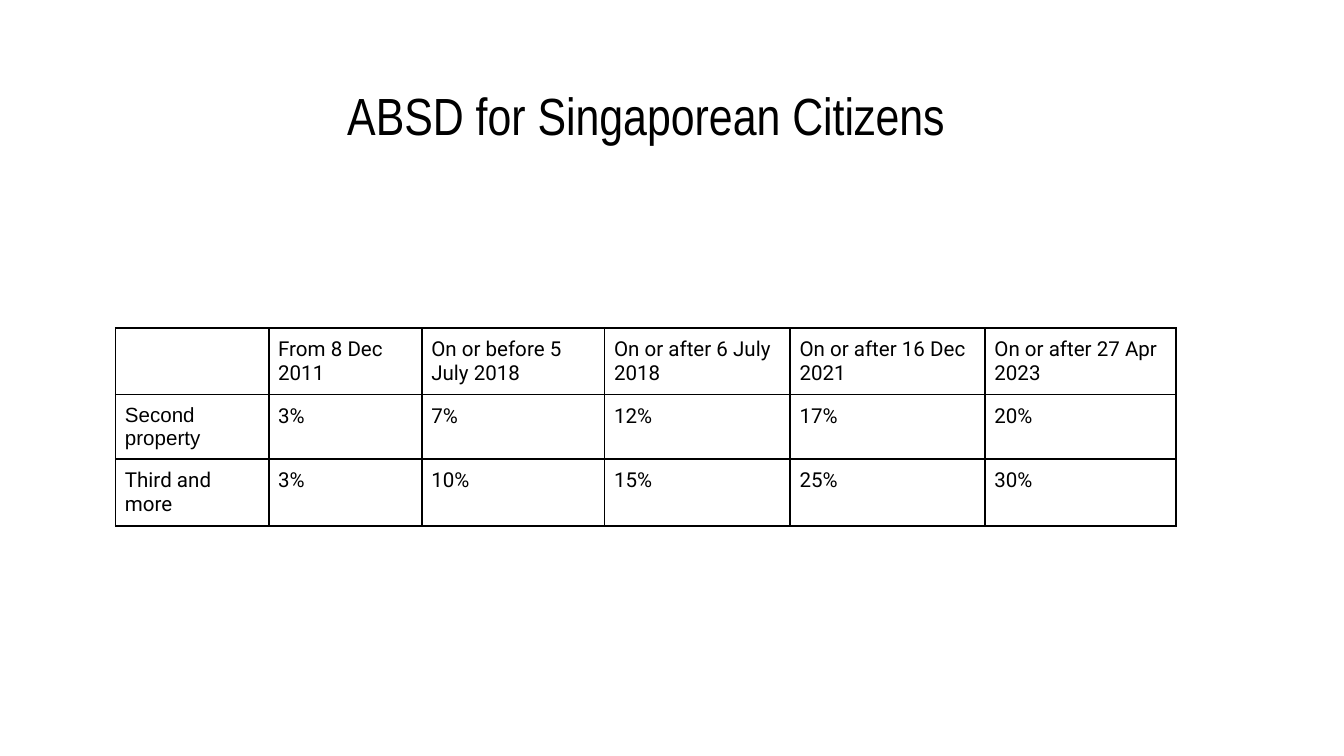
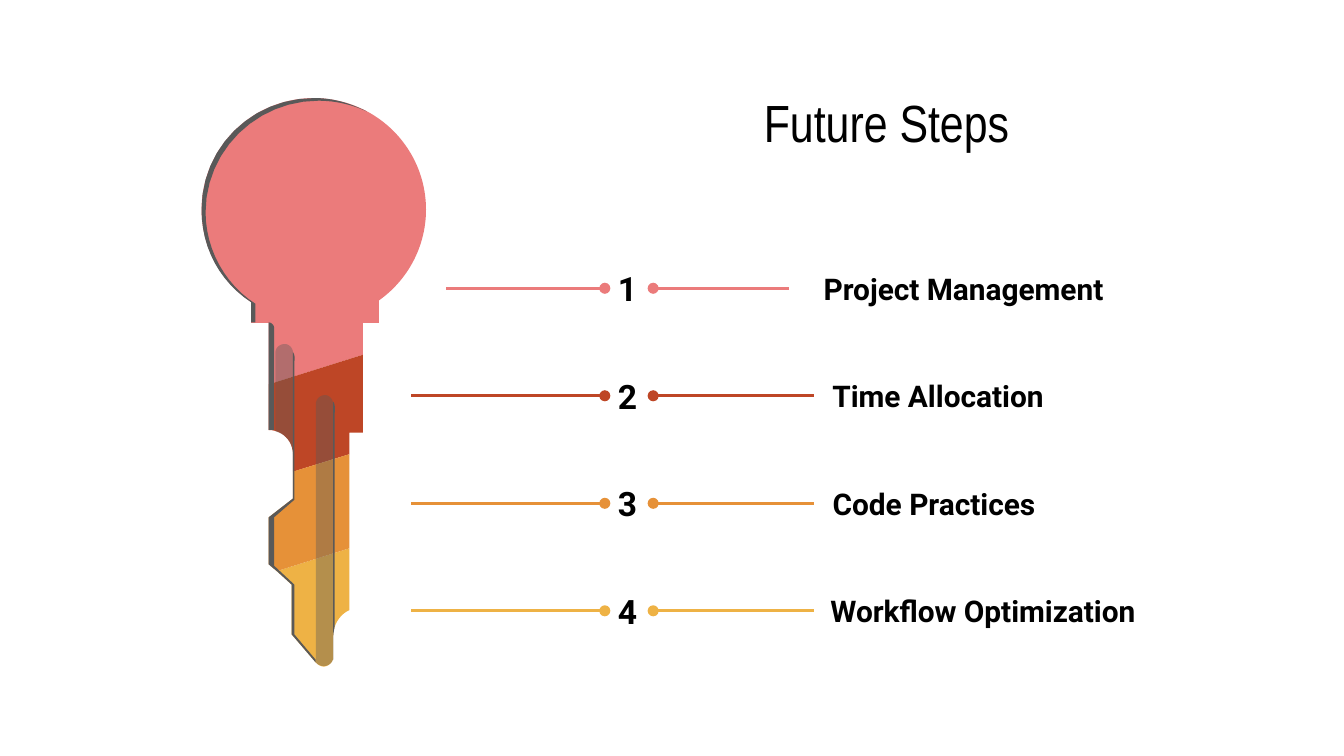
"""Build two slides: a table of stamp duty rates and a key with four future steps."""
from lxml.etree import SubElement as Sub
from pptx import Presentation
from pptx.dml.color import RGBColor as Rgb
from pptx.enum.shapes import MSO_CONNECTOR as Link, MSO_SHAPE as Shape
from pptx.enum.text import MSO_ANCHOR as Anchor, MSO_AUTO_SIZE as Auto, PP_ALIGN as Align
from pptx.oxml.ns import qn
from pptx.util import Inches as In, Pt

WIDE = 10
HIGH = WIDE * 9 / 16
BLACK, GREY = "000000", "595959"
PINK, RUST, ORANGE, GOLD = "EB7B7B", "BE4626", "E69138", "EEB245"

RATES = [
    ["", "From 8 Dec 2011", "On or before 5 July 2018", "On or after 6 July 2018",
     "On or after 16 Dec 2021", "On or after 27 Apr 2023"],
    ["Second property", "3%", "7%", "12%", "17%", "20%"],
    ["Third and more", "3%", "10%", "15%", "25%", "30%"],
]
COLS = [1.14, 1.14, 1.36, 1.38, 1.45, 1.42]
ROW, PAD = 0.48, 0.07

STEPS = [
    ("Project Management", PINK, 3.32, 5.87, 2.6),
    ("Time Allocation", RUST, 3.06, 6.06, 1.84),
    ("Code Practices", ORANGE, 3.06, 6.06, 1.78),
    ("Workflow Optimization", GOLD, 3.06, 6.06, 2.51),
]
TOP, PITCH, TALL = 1.9, 0.8, 0.49
NUM, NUM_W = 4.5, 0.36

# Each point is (x, y); a curve is (x1, y1, x2, y2, x, y).
COLLAR = [(1.87, 2.15), (1.87, 2.4), (2.82, 2.4), (2.82, 2.15)]
STEM = [(2, 2.28), (2, 2.86), (2.7, 2.64), (2.7, 2.28)]
TIP = [(2.6, 4.08), (2.06, 4.25), (2.17, 4.35), (2.17, 4.72), (2.35, 4.93),
       (2.37, 4.95, 2.39, 4.96, 2.41, 4.96), (2.44, 4.96, 2.48, 4.93, 2.48, 4.89),
       (2.48, 4.73), (2.48, 4.65, 2.53, 4.57, 2.6, 4.54)]
NECK = [(2.7, 2.64), (2, 2.86), (2, 3.2), (2.1, 3.2, 2.18, 3.28, 2.18, 3.38),
        (2.18, 3.51), (2.6, 3.38), (2.6, 3.22), (2.7, 3.22)]
TEETH = [(2.6, 3.38), (2.18, 3.51), (2.18, 3.71), (2, 3.85), (2, 4.2),
         (2.06, 4.25), (2.6, 4.08)]
SLOT = [(2.18, 3.38), (2.18, 2.62), (2.18, 2.59, 2.15, 2.56, 2.12, 2.56),
        (2.08, 2.56, 2.05, 2.59, 2.05, 2.62), (2.05, 3.21),
        (2.13, 3.23, 2.18, 3.3, 2.18, 3.38)]
GROOVE = [(2.48, 4.89), (2.48, 3.01), (2.48, 2.97, 2.45, 2.94, 2.42, 2.94),
          (2.38, 2.94, 2.35, 2.97, 2.35, 3.01), (2.35, 4.93),
          (2.4, 4.98, 2.48, 4.95, 2.48, 4.89)]
EDGES = [
    [(2.34, 0.73), (1.87, 0.73, 1.5, 1.1, 1.5, 1.56), (1.5, 1.85, 1.64, 2.1, 1.87, 2.25),
     (1.87, 2.4), (1.9, 2.4), (1.9, 2.26), (1.68, 2.12, 1.53, 1.86, 1.53, 1.58),
     (1.53, 1.12, 1.91, 0.75, 2.37, 0.75), (2.5, 0.75, 2.62, 0.78, 2.73, 0.83),
     (2.61, 0.77, 2.48, 0.73, 2.34, 0.73)],
    [(2, 2.4), (2, 3.2), (2.04, 3.2), (2.04, 2.44), (2.04, 2.42, 2.02, 2.4, 2, 2.4)],
    [(2.48, 2.99), (2.48, 4.91), (2.48, 4.73), (2.48, 4.71, 2.49, 4.68, 2.49, 4.66),
     (2.49, 3.1), (2.49, 3.06, 2.5, 3.02, 2.48, 2.99)],
    [(2.18, 2.62), (2.18, 3.71), (2, 3.85), (2, 4.2), (2.06, 4.25), (2.17, 4.35),
     (2.17, 4.72), (2.35, 4.93), (2.35, 4.91), (2.19, 4.72), (2.19, 4.35),
     (2.04, 4.21), (2.04, 3.85), (2.19, 3.72), (2.19, 2.72),
     (2.19, 2.68, 2.2, 2.65, 2.18, 2.62)],
]
BLADE = [(COLLAR, PINK), (STEM, PINK), (TIP, GOLD), (NECK, RUST), (TEETH, ORANGE)]
HEAD = (1.5, 0.73, 1.67, 1.66)


def hue(code):
    return Rgb.from_string(code)


def put(frame, text, size=11, font="Roboto", bold=False, align=Align.LEFT):
    frame.word_wrap = True
    para = frame.paragraphs[0]
    para.alignment = align
    run = para.add_run()
    run.text = text
    face = run.font
    face.size, face.name, face.bold = Pt(size), font, bold
    face.color.rgb = hue(BLACK)


def setup(frame):
    frame.auto_size = Auto.NONE
    frame.vertical_anchor = Anchor.MIDDLE
    frame.margin_left = frame.margin_right = In(0.1)
    frame.margin_top = frame.margin_bottom = In(0.1)
    return frame


def start(deck, title, *box):
    slide = deck.slides.add_slide(deck.slide_layouts[5])
    head = slide.shapes.title
    head.left, head.top, head.width, head.height = map(In, box)
    put(setup(head.text_frame), title, size=28, font="Arial Narrow", align=Align.CENTER)
    return slide


def label(slide, text, box, **form):
    shape = slide.shapes.add_textbox(*map(In, box))
    put(setup(shape.text_frame), text, bold=True, **form)


def paint(shape, code, alpha=None):
    shape.shadow.inherit = False
    shape.fill.solid()
    shape.fill.fore_color.rgb = hue(code)
    shape.line.fill.background()
    if alpha:
        tint = shape._element.spPr.find(qn("a:solidFill"))[0]
        Sub(tint, qn("a:alpha"), val=str(alpha * 1000))


def trace(path, cuts=12):
    spots = []
    for step in path:
        if len(step) == 2:
            spots.append(step)
            continue
        pts = [spots[-1], step[:2], step[2:4], step[4:]]
        for n in range(1, cuts + 1):
            t = n / cuts
            mix = ((1 - t) ** 3, 3 * t * (1 - t) ** 2, 3 * t * t * (1 - t), t ** 3)
            spots.append(tuple(sum(m * p[k] for m, p in zip(mix, pts)) for k in (0, 1)))
    return [(In(x), In(y)) for x, y in spots]


def draw(slide, paths, code, alpha=None):
    pen = None
    for path in paths:
        first, *rest = trace(path)
        if pen:
            pen.move_to(*first)
        else:
            pen = slide.shapes.build_freeform(*first)
        pen.add_line_segments(rest, close=True)
    paint(pen.convert_to_shape(), code, alpha)


def rule(slide, x, end, y, code):
    line = slide.shapes.add_connector(Link.STRAIGHT, In(x), In(y), In(end), In(y))
    line.line.color.rgb = hue(code)
    line.line.width = Pt(1.5)
    Sub(line.line._get_or_add_ln(), qn("a:headEnd"), type="oval")
    Sub(line._element.spPr, qn("a:effectLst"))


def frame_cell(cell):
    props = cell._tc.get_or_add_tcPr()
    for side in "LRTB":
        edge = Sub(props, qn(f"a:ln{side}"), w=str(Pt(1)))
        Sub(Sub(edge, qn("a:solidFill")), qn("a:srgbClr"), val=BLACK)
    cell.fill.background()
    cell.margin_left = cell.margin_right = In(PAD)
    cell.margin_top = cell.margin_bottom = In(PAD)


def rates(deck):
    slide = start(deck, "ABSD for Singaporean Citizens", 1.9, 0.59, 5.81, 0.53)
    box = map(In, (0.86, 2.44, sum(COLS), ROW * len(RATES)))
    grid = slide.shapes.add_table(len(RATES), len(COLS), *box).table
    grid.first_row = grid.horz_banding = False
    for col, width in zip(grid.columns, COLS):
        col.width = In(width)
    for r, row in enumerate(RATES):
        for c, text in enumerate(row):
            cell = grid.cell(r, c)
            frame_cell(cell)
            if text:
                put(cell.text_frame, text, font="Arial" if (r, c) == (1, 0) else "Roboto")


def steps(deck):
    slide = start(deck, "Future Steps", 4.72, 0.64, 3.75, 0.53)
    for path, code in BLADE:
        draw(slide, [path], code)
    paint(slide.shapes.add_shape(Shape.OVAL, *map(In, HEAD)), PINK)
    for path in (SLOT, GROOVE):
        draw(slide, [path], GREY, alpha=39)
    draw(slide, EDGES, GREY)
    for n, (text, code, left, right, width) in enumerate(STEPS):
        top = TOP + n * PITCH
        mid = top + TALL / 2
        label(slide, str(n + 1), (NUM, top, NUM_W, TALL), size=18)
        label(slide, text, (right, top, width, TALL), size=16, align=Align.CENTER)
        rule(slide, NUM, left, mid, code)
        rule(slide, NUM + NUM_W, right, mid, code)


def main():
    deck = Presentation()
    deck.slide_width, deck.slide_height = In(WIDE), In(HIGH)
    rates(deck)
    steps(deck)
    deck.save("out.pptx")


if __name__ == "__main__":
    main()
